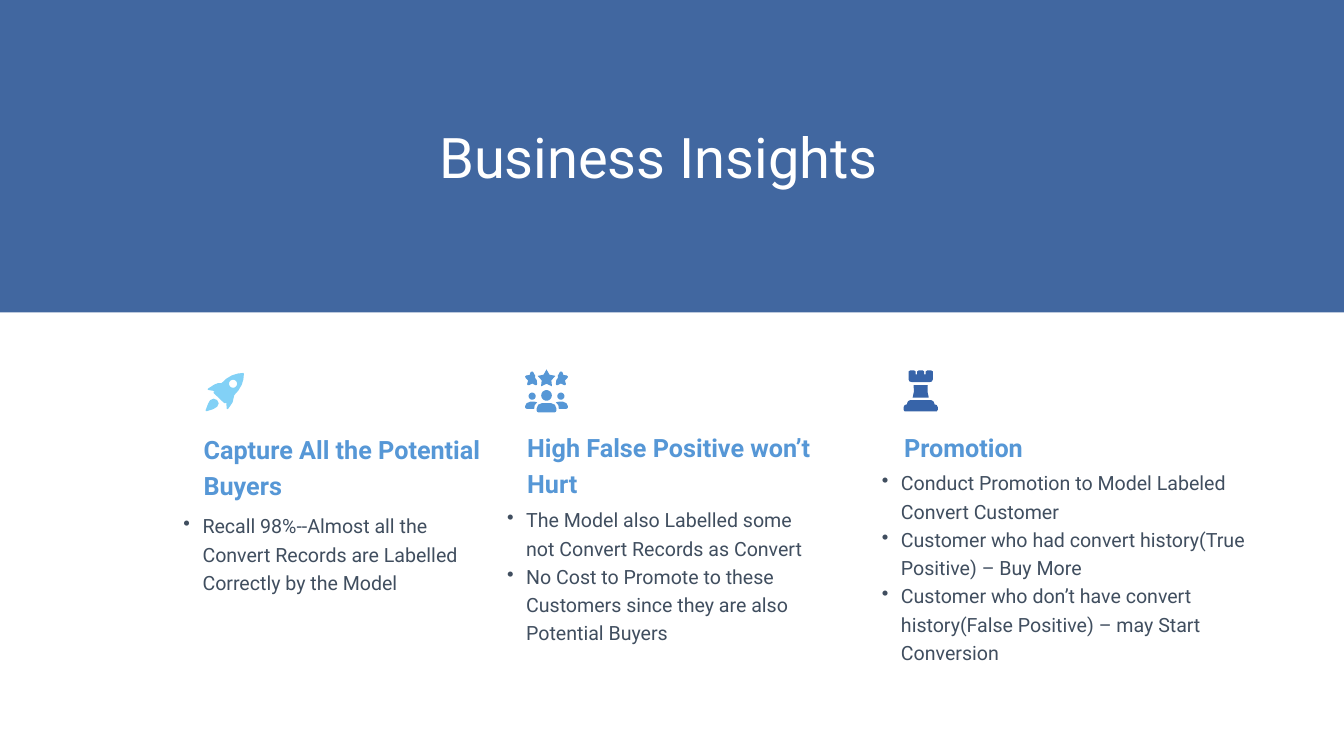
import math
import pptx
import pptx.util
import pptx.dml.color
import pptx.enum.shapes
import pptx.enum.text
import pptx.oxml
import pptx.oxml.ns

THEME = {
    "font": "Roboto",
    "band": "255193", "clear": 87000,
    "rocket": "82D1F6", "team": "5697D6", "tower": "3764A9",
    "title": {"size": 80, "bold": False, "color": "FFFFFF"},
    "head": {"size": 36, "bold": True, "color": "5697D6"},
    "body": {"size": 28, "bold": False, "color": "404E5F"},
}

deck = pptx.Presentation()
deck.slide_width = pptx.util.Inches(26.67)
deck.slide_height = pptx.util.Inches(15)
slide = deck.slides.add_slide(deck.slide_layouts[6])

# Grid: 100 columns by 100 rows
col, row = deck.slide_width / 100, deck.slide_height / 100
unit = pptx.util.Inches(0.01)  # icon drawing unit
pad = pptx.util.Inches(0.06)
hang = pptx.util.Inches(0.38)
rgb = pptx.dml.color.RGBColor.from_string


def ring(x, y, size, dip, count):
    """Points around a centre, with every second one at the dip radius."""
    turns = [2 * math.pi * k / count for k in range(count)]
    return [(x + (dip if k % 2 else size) * math.sin(a),
             y - (dip if k % 2 else size) * math.cos(a))
            for k, a in enumerate(turns)]


def write(lines, left, top, wide, high, style, form, dots=False):
    """Text box at grid columns and rows, one paragraph a line."""
    box = slide.shapes.add_textbox(int(left * col), int(top * row),
                                   int(wide * col), int(high * row))
    frame = box.text_frame
    look = {"word_wrap": True,
            "auto_size": pptx.enum.text.MSO_AUTO_SIZE.SHAPE_TO_FIT_TEXT,
            "margin_left": pad, "margin_right": pad,
            "margin_top": pad, "margin_bottom": pad}
    for name, value in look.items():
        setattr(frame, name, value)
    for n, line in enumerate(lines):
        para = frame.add_paragraph() if n else frame.paragraphs[0]
        for name, value in form.items():
            setattr(para, name, value)
        run = para.add_run()
        run.text = line
        kind = {"name": THEME["font"], "size": pptx.util.Pt(style["size"]),
                "bold": style["bold"]}
        for name, value in kind.items():
            setattr(run.font, name, value)
        run.font.color.rgb = rgb(style["color"])
        if dots:
            props = para._p.get_or_add_pPr()
            props.set("marL", str(hang))
            props.set("indent", str(-hang))
            mark = pptx.oxml.parse_xml(
                "<a:buChar %s char='•'/>" % pptx.oxml.ns.nsdecls("a"))
            props.append(mark)


# Title band
band = slide.shapes.add_shape(pptx.enum.shapes.MSO_SHAPE.RECTANGLE, 0, 0,
                              deck.slide_width, int(41.33 * row))
band.shadow.inherit = False
band.line.fill.background()
band.fill.solid()
band.fill.fore_color.rgb = rgb(THEME["band"])
tint = band._element.spPr.find(".//" + pptx.oxml.ns.qn("a:srgbClr"))
tint.append(pptx.oxml.parse_xml("<a:alpha %s val='%d'/>" % (
    pptx.oxml.ns.nsdecls("a"), THEME["clear"])))

# Icon outlines
rocket = [
    [(75, 0), (63.5, 1.3), (52, 5), (41, 11.5), (32, 20), (24, 20.5),
     (17.5, 23), (5, 31), (4, 33), (6, 34), (18, 36), (16, 37), (16, 40),
     (37, 60), (39, 60), (41, 59), (42, 71), (43, 72), (45, 71),
     (53.5, 58.5), (57, 44), (65, 35), (71.5, 24), (75, 13), (76, 2)],
    ring(54.5, 21.5, 8, 8, 24),
    [(16, 51), (9, 54), (5, 61), (0, 74), (1, 76), (2, 76), (15, 72),
     (23, 67), (26, 60.5), (23, 54)],
]
side = [
    [(14, 4), (11, 5), (9, 11), (2, 12), (0, 14), (1, 17), (6, 22), (4, 29),
     (5, 31), (8, 31), (14, 28), (20, 31), (23, 31), (24, 29), (23, 21),
     (20, 17), (20, 11), (19, 11), (16, 5)],
    ring(14, 53, 7, 7, 24),
    [(10, 64), (3, 67), (0, 73), (0, 75), (1, 77), (3, 78), (18, 78),
     (19, 71), (24, 65), (18, 64)],
]
team = side + [[(85 - x, y) for x, y in part] for part in side] + [
    ring(42.5, 18.5, 18.5, 10, 10),
    ring(42.5, 51.5, 10.5, 10.5, 24),
    [(33, 67), (26, 70), (23, 77), (23, 82), (24, 84), (26, 85), (59, 85),
     (61, 84), (62, 82), (62, 77), (59, 70), (52, 67)],
]
half = [
    [(30, 0), (27, 2), (27, 8), (24, 8), (24, 2), (21, 0), (13, 0), (10, 2),
     (10, 18), (12, 22), (16, 23)],
    [(20, 29), (20.5, 42), (18, 54)],
    [(13, 59), (9, 61), (7, 65), (7, 67), (2, 69), (0, 73), (0, 78), (2, 81)],
]
tower = [part + [(68 - x, y) for x, y in reversed(part)] for part in half]
# The crown's middle tooth closes between its two mirrored halves
tower[0] += [(41, 8), (41, 2), (38, 0)] if tower[0][-1] != (38, 0) else []

icons = [("rocket", rocket, 15.3, 49.33), ("team", team, 39.07, 48.87),
         ("tower", tower, 67.23, 49)]
for name, parts, left, top in icons:
    pen = None
    for part in parts:
        spots = [(left * col + x * unit, top * row + y * unit)
                 for x, y in part]
        if pen is None:
            pen = slide.shapes.build_freeform(*spots[0])
        else:
            pen.move_to(*spots[0])
        pen.add_line_segments(spots[1:], close=True)
    icon = pen.convert_to_shape()
    icon.shadow.inherit = False
    icon.line.fill.background()
    icon.fill.solid()
    icon.fill.fore_color.rgb = rgb(THEME[name])

# Insight columns: heading and its box, points and their box
loose = {"line_spacing": 1.2}
blocks = [
    ("Capture All the Potential Buyers", (14.92, 56.2, 21.56, 10),
     ["Recall 98%--Almost all the Convert Records are Labelled Correctly "
      "by the Model"], (13.42, 67, 23.06, 11.73)),
    ("High False Positive won’t Hurt", (39, 56, 21.56, 10),
     ["The Model also Labelled some not Convert Records as Convert",
      "No Cost to Promote to these Customers since they are also "
      "Potential Buyers"], (37.5, 66.2, 23.06, 23)),
    ("Promotion", (67.04, 56, 18.9, 5.13),
     ["Conduct Promotion to Model Labeled Convert Customer",
      "Customer who had convert history(True Positive) – Buy More",
      "Customer who don’t have convert history(False Positive) – may Start "
      "Conversion"], (65.39, 61.33, 29.58, 30.53)),
]
for head, place, points, room in blocks:
    write([head], *place, THEME["head"], loose)
    write(points, *room, THEME["body"], loose, dots=True)

# Title
write(["Business Insights"], 14.21, 15.8, 69.59, 9.73, THEME["title"],
      {"alignment": pptx.enum.text.PP_ALIGN.CENTER})

deck.save("out.pptx")
